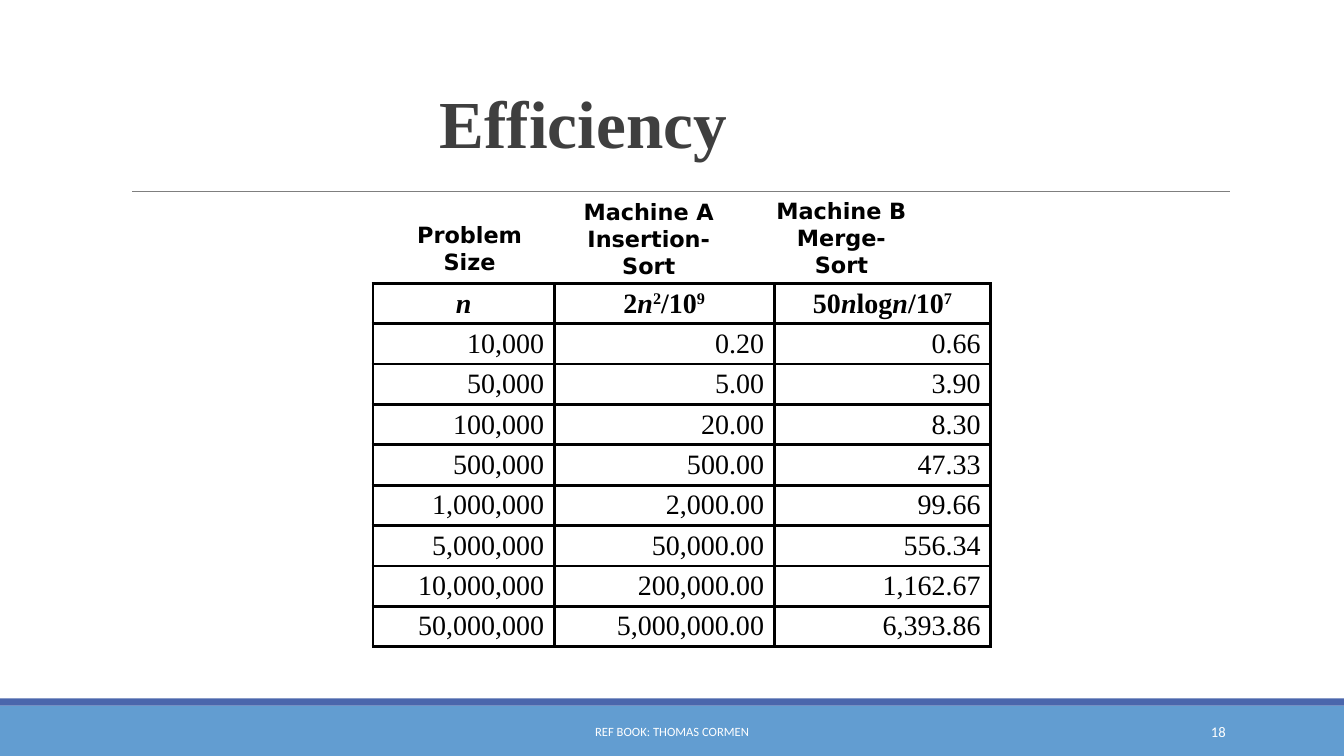
"""Build a slide that compares insertion sort and merge sort running times."""
from lxml.etree import SubElement
from pptx import Presentation
from pptx.dml.color import RGBColor
from pptx.enum.shapes import MSO_CONNECTOR, MSO_SHAPE
from pptx.enum.text import MSO_ANCHOR, PP_ALIGN
from pptx.oxml import parse_xml
from pptx.oxml.ns import nsdecls, qn
from pptx.util import Cm, Pt

WHITE = RGBColor(0xFF, 0xFF, 0xFF)
BLACK = RGBColor(0x00, 0x00, 0x00)
TITLE_GRAY = RGBColor(0x3F, 0x3F, 0x3F)
RULE_GRAY = RGBColor(0x7F, 0x7F, 0x7F)
FOOTER_BLUE = RGBColor(0x62, 0x9D, 0xD1)
STRIPE_BLUE = RGBColor(0x4A, 0x66, 0xAC)
SERIF = "Times New Roman"
SANS = "DejaVu Sans"
FOOTER_FONT = "Calibri"


def write(p, text, size, font, color=BLACK, bold=False, italic=False,
          raised=False, align=PP_ALIGN.CENTER, spacing=None):
    p.alignment = align
    p.line_spacing = spacing
    for i, line in enumerate(text.split("\n")):
        if i:
            p.add_line_break()
        r = p.add_run()
        r.text = line
        r.font.size = Pt(size)
        r.font.name = font
        r.font.color.rgb = color
        r.font.bold = bold
        r.font.italic = italic
        if raised:
            r.font._element.set("baseline", "30000")


prs = Presentation()
prs.slide_width = Cm(33.87)
prs.slide_height = Cm(19.05)
s = prs.slides.add_slide(prs.slide_layouts[6])

for top, height, color in [(17.78, 1.27, FOOTER_BLUE), (17.6, 0.18, STRIPE_BLUE)]:
    sp = s.shapes.add_shape(MSO_SHAPE.RECTANGLE, 0, Cm(top), prs.slide_width, Cm(height))
    sp.shadow.inherit = False
    sp.fill.solid()
    sp.fill.fore_color.rgb = color
    sp.line.fill.background()

rule = s.shapes.add_connector(MSO_CONNECTOR.STRAIGHT, Cm(3.33), Cm(4.82), Cm(31), Cm(4.82))
rule.line.color.rgb = RULE_GRAY
rule.line.width = Pt(0.75)
SubElement(rule._element.spPr, qn("a:effectLst"))

heading = dict(size=16, font=SANS, bold=True)
footer = dict(font=FOOTER_FONT, color=WHITE)
labels = [
    ("Efficiency", 2.13, 0.84, 25.15, 3.38, MSO_ANCHOR.BOTTOM,
     dict(size=48, font=SERIF, color=TITLE_GRAY, bold=True, spacing=0.85)),
    ("Problem Size", 9.93, 5.44, 3.81, 1.63, MSO_ANCHOR.TOP, heading),
    ("Machine A\nInsertion- Sort", 14.1, 4.88, 4.5, 2.29, MSO_ANCHOR.TOP, heading),
    ("Machine B\nMerge- Sort", 19.3, 4.85, 3.81, 2.29, MSO_ANCHOR.TOP, heading),
    ("REF BOOK: THOMAS CORMEN", 10.24, 17.93, 13.39, 1.02, MSO_ANCHOR.MIDDLE,
     dict(footer, size=9)),
    ("18", 27.51, 17.93, 3.63, 1.02, MSO_ANCHOR.MIDDLE,
     dict(footer, size=10.5, align=PP_ALIGN.RIGHT)),
]
for text, left, top, width, height, anchor, style in labels:
    tf = s.shapes.add_textbox(Cm(left), Cm(top), Cm(width), Cm(height)).text_frame
    tf.word_wrap = True
    tf.vertical_anchor = anchor
    write(tf.paragraphs[0], text, **style)

italic = dict(italic=True)
raised = dict(raised=True)
formulas = [
    [("n", italic)],
    [("2", {}), ("n", italic), ("2", raised), ("/10", {}), ("9", raised)],
    [("50", {}), ("n", italic), ("log", {}), ("n", italic), ("/10", {}), ("7", raised)],
]
timings = [
    ("10,000", "0.20", "0.66"),
    ("50,000", "5.00", "3.90"),
    ("100,000", "20.00", "8.30"),
    ("500,000", "500.00", "47.33"),
    ("1,000,000", "2,000.00", "99.66"),
    ("5,000,000", "50,000.00", "556.34"),
    ("10,000,000", "200,000.00", "1,162.67"),
    ("50,000,000", "5,000,000.00", "6,393.86"),
]
rows = [formulas] + [[[(value, {})] for value in row] for row in timings]
col_widths = [4.57, 5.54, 5.46]
row_height = 0.99
table = s.shapes.add_table(len(rows), len(col_widths), Cm(9.4), Cm(7.14),
                           Cm(sum(col_widths)), Cm(row_height * len(rows))).table
for col, width in zip(table.columns, col_widths):
    col.width = Cm(width)

for i, row in enumerate(rows):
    table.rows[i].height = Cm(row_height)
    for j, parts in enumerate(row):
        cell = table.cell(i, j)
        cell.vertical_anchor = MSO_ANCHOR.BOTTOM
        p = cell.text_frame.paragraphs[0]
        for text, style in parts:
            write(p, text, 20, SERIF, bold=i == 0, spacing=0.9,
                  align=PP_ALIGN.RIGHT if i else PP_ALIGN.CENTER, **style)
        pPr = p._p.get_or_add_pPr()
        pPr.set("marL", str(Cm(1.3)))
        pPr.set("indent", str(-Cm(1.3)))
        tcPr = cell._tc.get_or_add_tcPr()
        for side in ("lnL", "lnR", "lnT", "lnB"):
            tcPr.append(parse_xml(
                f'<a:{side} {nsdecls("a")} w="{Pt(2.25)}"><a:solidFill>'
                f'<a:srgbClr val="{BLACK}"/></a:solidFill></a:{side}>'))
        cell.fill.background()

prs.save("out.pptx")
